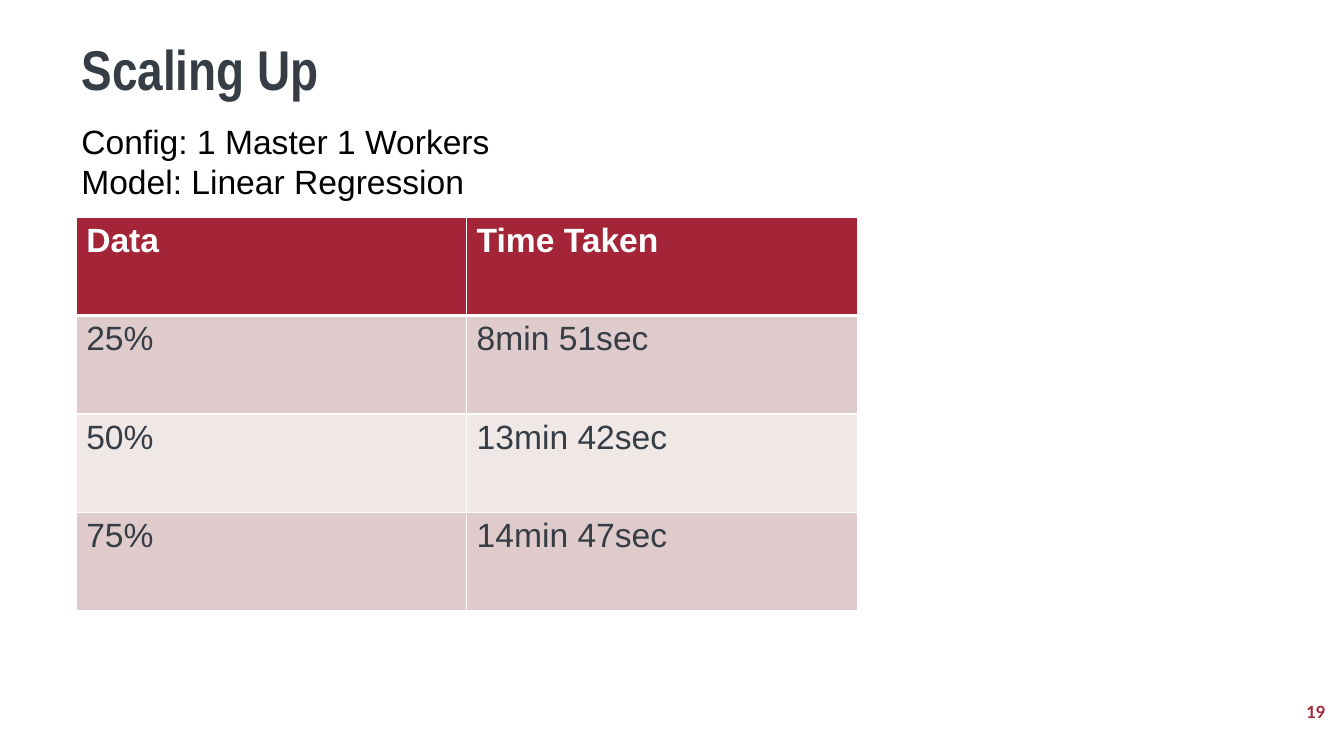
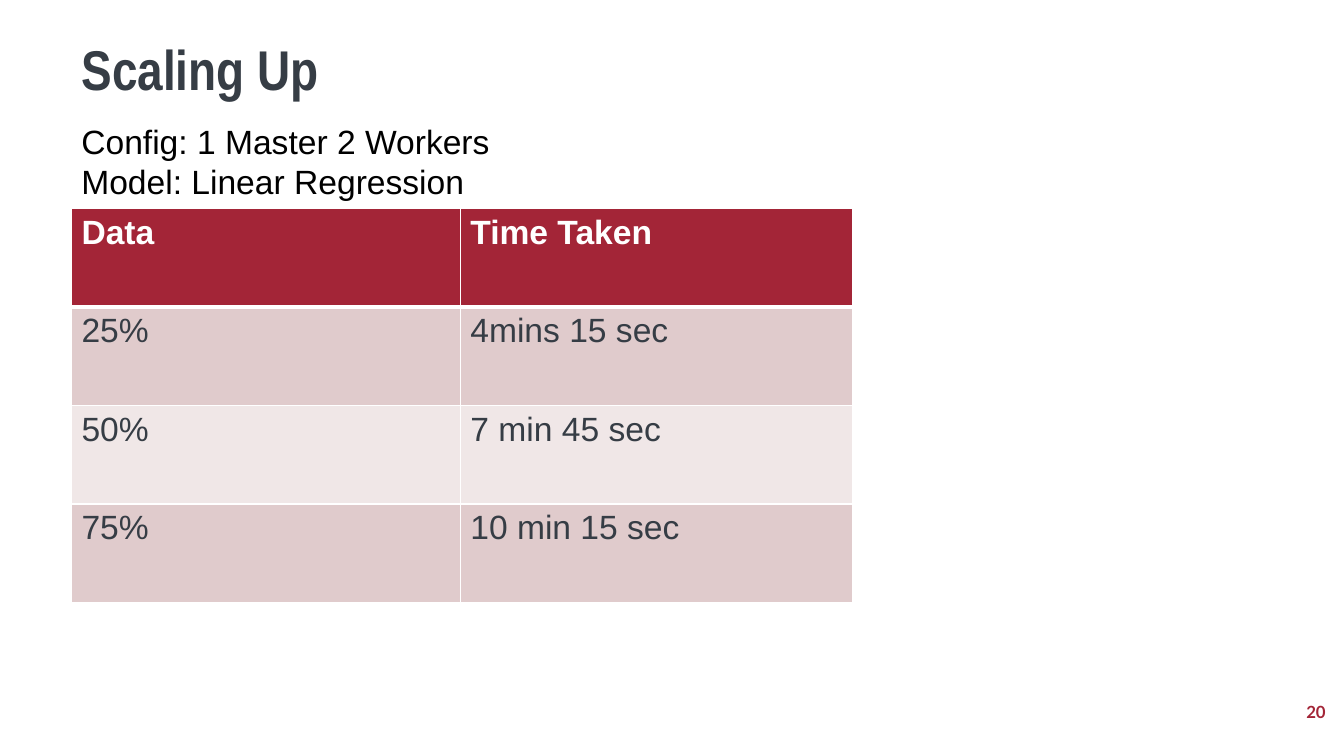
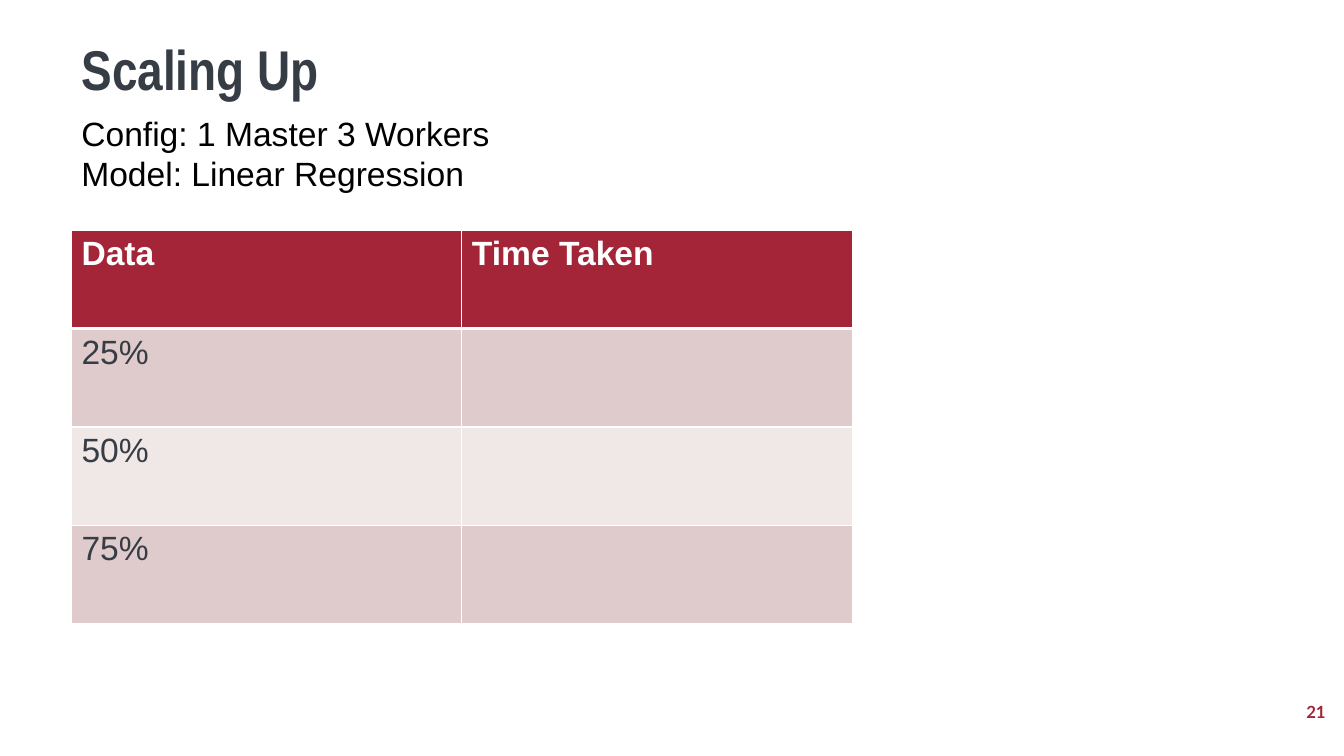
import pptx
import pptx.dml.color
import pptx.enum.text
import pptx.util
from lxml import etree
from pptx.oxml.ns import qn

Cm = pptx.util.Cm
Pt = pptx.util.Pt
RGBColor = pptx.dml.color.RGBColor
Align = pptx.enum.text.PP_ALIGN
Anchor = pptx.enum.text.MSO_ANCHOR

WHITE = RGBColor(0xFF, 0xFF, 0xFF)
BLACK = RGBColor(0x00, 0x00, 0x00)
SLATE = RGBColor(0x36, 0x3D, 0x45)
CRIMSON = RGBColor(0xA3, 0x25, 0x37)
BANDS = (RGBColor(0xE0, 0xCB, 0xCC), RGBColor(0xF0, 0xE7, 0xE7))

TITLE_STYLE = {"name": "Arial Narrow", "size": Pt(40), "bold": True, "color": SLATE}
BODY_STYLE = {"name": "Arial", "size": Pt(24), "bold": False, "color": BLACK}
HEADER_STYLE = {**BODY_STYLE, "bold": True, "color": WHITE}
CELL_STYLE = {**BODY_STYLE, "color": SLATE}
NUMBER_STYLE = {"name": "Lato", "size": Pt(12), "bold": True, "color": CRIMSON}

MARGIN = 1.8
TITLE_BOX = (MARGIN, 0.94, 29.74, 2.03)
NUMBER_BOX = (26.04, 17.42, 7.62, 1.02)
ROW_HEIGHT = 2.48
FIRST_NUMBER = 19

RUNS = [
    {
        "workers": 1,
        "times": ("8min 51sec", "13min 42sec", "14min 47sec"),
        "config_box": (MARGIN, 2.92, 12.24, 2.31),
        "table_corner": (1.92, 5.47),
        "columns": (9.84, 9.84),
    },
    {
        "workers": 2,
        "times": ("4mins 15 sec", "7 min 45 sec", "10 min 15 sec"),
        "config_box": (MARGIN, 2.92, 12.24, 2.31),
        "table_corner": (MARGIN, 5.26),
        "columns": (9.8, 9.88),
    },
    {
        "workers": 3,
        "times": ("", "", ""),
        "config_box": (MARGIN, 2.72, 13.36, 3.33),
        "table_corner": (MARGIN, 5.8),
        "columns": (9.84, 9.84),
    },
]


def write(frame, lines, style, align=Align.LEFT, anchor=Anchor.TOP, spacing=1.0):
    frame.word_wrap = True
    frame.vertical_anchor = anchor
    frame.text = "\n".join(lines)
    for para in frame.paragraphs:
        para.alignment = align
        para.line_spacing = spacing
        for span in para.runs:
            for name, value in style.items():
                if name == "color":
                    span.font.color.rgb = value
                else:
                    setattr(span.font, name, value)


def add_title(page, box, text):
    title = page.shapes.title
    for name, value in zip(("left", "top", "width", "height"), box):
        setattr(title, name, Cm(value))
    title.text_frame.auto_size = pptx.enum.text.MSO_AUTO_SIZE.NONE
    write(title.text_frame, [text], TITLE_STYLE, spacing=0.9)


def add_text(page, box, lines, style, **layout):
    shape = page.shapes.add_textbox(*map(Cm, box))
    write(shape.text_frame, lines, style, **layout)


def set_borders(cell, widths):
    """Draw white cell borders; widths maps L, R, T, B to points."""
    properties = cell._tc.get_or_add_tcPr()
    for index, (side, width) in enumerate(widths.items()):
        line = etree.Element(qn(f"a:ln{side}"), w=str(Pt(width)))
        fill = etree.SubElement(line, qn("a:solidFill"))
        etree.SubElement(fill, qn("a:srgbClr"), val=str(WHITE))
        properties.insert(index, line)


def add_timing_table(page, corner, columns, times):
    rows = [("Data", "Time Taken"), *zip(("25%", "50%", "75%"), times)]
    size = (sum(columns), ROW_HEIGHT * len(rows))
    frame = page.shapes.add_table(len(rows), len(columns), *map(Cm, corner + size))
    table = frame.table
    for column, width in zip(table.columns, columns):
        column.width = Cm(width)
    for row_index, texts in enumerate(rows):
        table.rows[row_index].height = Cm(ROW_HEIGHT)
        is_header = row_index == 0
        for column_index, text in enumerate(texts):
            cell = table.cell(row_index, column_index)
            cell.fill.solid()
            cell.fill.fore_color.rgb = CRIMSON if is_header else BANDS[(row_index - 1) % 2]
            set_borders(cell, {"L": 1, "R": 1, "T": 3 if row_index == 1 else 1,
                               "B": 3 if is_header else 1})
            write(cell.text_frame, [text], HEADER_STYLE if is_header else CELL_STYLE)


def add_scaling_page(deck, number, run):
    page = deck.slides.add_slide(deck.slide_layouts[5])
    add_title(page, TITLE_BOX, "Scaling Up")
    add_text(page, NUMBER_BOX, [str(number)], NUMBER_STYLE,
             align=Align.RIGHT, anchor=Anchor.MIDDLE)
    add_timing_table(page, run["table_corner"], run["columns"], run["times"])
    config = [f"Config: 1 Master {run['workers']} Workers", "Model: Linear Regression"]
    add_text(page, run["config_box"], config, BODY_STYLE)


def main():
    deck = pptx.Presentation()
    deck.slide_width, deck.slide_height = Cm(33.87), Cm(19.05)
    for number, run in enumerate(RUNS, FIRST_NUMBER):
        add_scaling_page(deck, number, run)
    deck.save("out.pptx")


if __name__ == "__main__":
    main()
